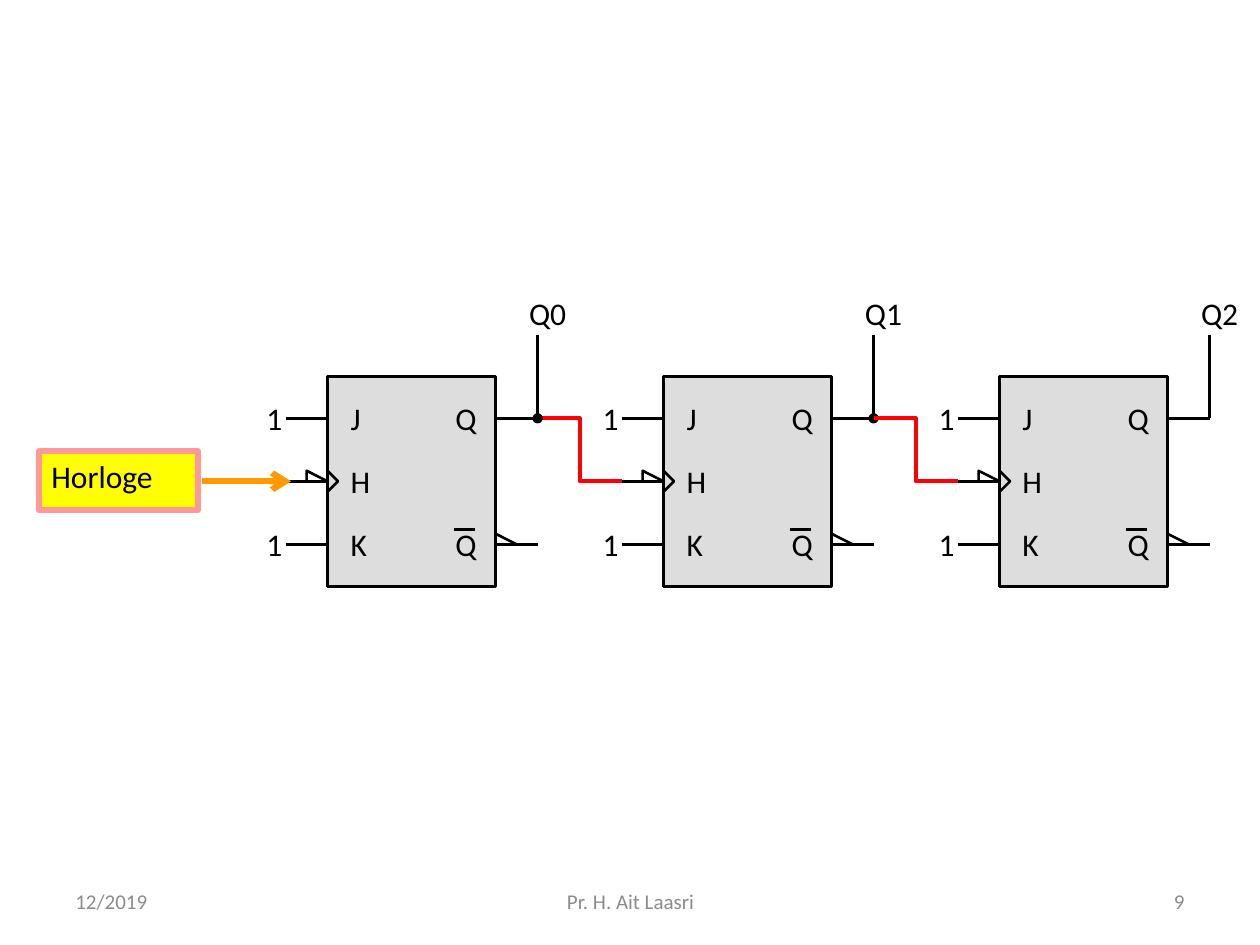
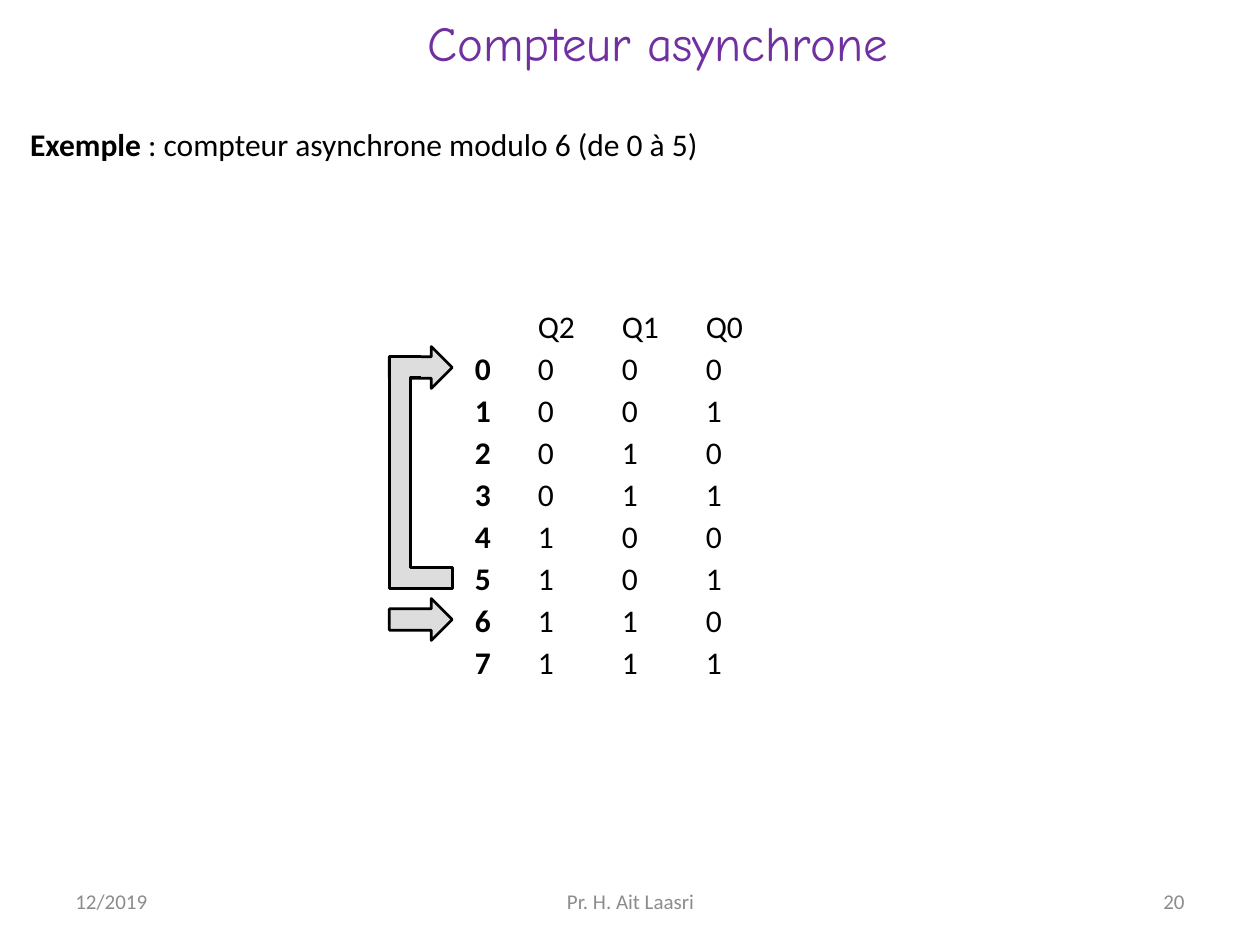
import dataclasses
import typing

import pptx
import pptx.dml.color
import pptx.enum.shapes
import pptx.enum.text
import pptx.oxml
import pptx.oxml.ns
import pptx.shapes.autoshape
import pptx.shapes.shapetree
import pptx.slide
import pptx.text.text
import pptx.util

Inches = pptx.util.Inches
RGB = pptx.dml.color.RGBColor
Align = pptx.enum.text.PP_ALIGN
Anchor = pptx.enum.text.MSO_ANCHOR
Preset = pptx.enum.shapes.MSO_SHAPE
Canvas = pptx.shapes.shapetree.SlideShapes | pptx.shapes.shapetree.GroupShapes
Point = tuple[float, float]

BLACK = RGB(0, 0, 0)
GREY = RGB(0xDD, 0xDD, 0xDD)
MUTED = RGB(0x8C, 0x8C, 0x8C)
RED = RGB(0xFF, 0, 0)
YELLOW = RGB(0xFF, 0xFF, 0)
PINK = RGB(0xFF, 0x99, 0x99)
ORANGE = RGB(0xFF, 0x99, 0)
PURPLE = RGB(0x70, 0x30, 0xA0)

BODY = "Calibri"
HEAD = "Comic Neue"

UNIT = 1 / 6
HALF = UNIT / 2
CELL = 2 * UNIT
PITCH = 16 * UNIT
WIDE = 8 * UNIT
LEFT = 2.6
TOP = 2.99
ROWS = (3.32, 3.82, 4.32)


@dataclasses.dataclass(frozen=True)
class Box:
    x: float
    y: float
    w: float = CELL
    h: float = CELL

    def place(self) -> tuple[pptx.util.Length, ...]:
        return tuple(Inches(v) for v in (self.x, self.y, self.w, self.h))


@dataclasses.dataclass(frozen=True)
class Mark:
    text: str
    dx: float
    row: int


@dataclasses.dataclass(frozen=True)
class Foot:
    box: Box
    align: Align


MARKS = (
    Mark("J", HALF, 0), Mark("Q", 5.5 * UNIT, 0), Mark("H", HALF, 1),
    Mark("K", HALF, 2), Mark("Q", 5.5 * UNIT, 2),
    Mark("1", -3.5 * UNIT, 0), Mark("1", -3.5 * UNIT, 2),
)
FEET = (
    Foot(Box(0.5, 6.95, 2.33, 0.4), Align.LEFT),
    Foot(Box(3.42, 6.95, 3.17, 0.4), Align.CENTER),
    Foot(Box(7.17, 6.95, 2.33, 0.4), Align.RIGHT),
)


def write(frame: pptx.text.text.TextFrame, text: str, *, size: float = 18,
          font: str = BODY, color: RGB = BLACK, bold: bool = False,
          align: Align = Align.LEFT, anchor: Anchor = Anchor.MIDDLE,
          wrap: bool = True) -> None:
    frame.word_wrap = wrap
    frame.vertical_anchor = anchor
    para = frame.paragraphs[0]
    para.alignment = align
    run = para.add_run()
    run.text = text
    run.font.size = pptx.util.Pt(size)
    run.font.name = font
    run.font.bold = bold
    run.font.color.rgb = color


def label(on: Canvas, box: Box, text: str, **look: typing.Any) -> None:
    write(on.add_textbox(*box.place()).text_frame, text, **look)


def paint(shape: pptx.shapes.autoshape.Shape, fill: RGB | None,
          color: RGB = BLACK, width: float = 1.5) -> None:
    shape.shadow.inherit = False
    if fill is None:
        shape.fill.background()
    else:
        shape.fill.solid()
        shape.fill.fore_color.rgb = fill
    shape.line.color.rgb = color
    shape.line.width = pptx.util.Pt(width)


def line(on: Canvas, start: Point, end: Point, color: RGB = BLACK,
         width: float = 1.5, head: str = "", tail: str = "") -> None:
    link = on.add_connector(pptx.enum.shapes.MSO_CONNECTOR.STRAIGHT,
                            *(Inches(v) for v in (*start, *end)))
    link.line.color.rgb = color
    link.line.width = pptx.util.Pt(width)
    props = link.element.spPr
    stroke = props.find(pptx.oxml.ns.qn("a:ln"))
    for tag, kind in (("headEnd", head), ("tailEnd", tail)):
        if kind:
            stroke.append(pptx.oxml.parse_xml(
                f'<a:{tag} {pptx.oxml.ns.nsdecls("a")} type="{kind}"/>'))
    props.append(pptx.oxml.parse_xml(
        f'<a:effectLst {pptx.oxml.ns.nsdecls("a")}/>'))


def trace(on: Canvas, points: list[Point], fill: RGB | None = None,
          color: RGB = BLACK, width: float = 1.5) -> None:
    first, *rest = [(Inches(x), Inches(y)) for x, y in points]
    pen = on.build_freeform(*first)
    pen.add_line_segments(rest, close=False)
    paint(pen.convert_to_shape(), fill, color, width)


def wire(on: Canvas, step: int) -> None:
    x = LEFT + step * PITCH + 10 * UNIT
    high, low, _ = ROWS
    trace(on, [(x, high), (x + CELL, high), (x + CELL, low),
               (x + 2 * CELL, low)], color=RED, width=2.25)


def output(on: Canvas, step: int, head: str) -> None:
    x = LEFT + step * PITCH + 10 * UNIT
    label(on, Box(x - UNIT, 2.32, 0.55), f"Q{step}", wrap=False)
    line(on, (x, ROWS[0]), (x, 2.66), head=head)


def flip(on: Canvas, step: int) -> None:
    x = LEFT + step * PITCH
    edge = x + WIDE
    high, mid, low = ROWS
    body = on.add_shape(Preset.RECTANGLE, *Box(x, TOP, WIDE, 10 * UNIT).place())
    paint(body, GREY)
    for y in ROWS:
        line(on, (x - CELL, y), (x, y))
    for y in (high, low):
        line(on, (edge, y), (edge + CELL, y))
    line(on, (x + 6 * UNIT, 4.2), (x + 7 * UNIT, 4.2))
    trace(on, [(x, mid - HALF), (x + HALF, mid), (x, mid + HALF)])
    trace(on, [(edge, low), (edge, low - HALF), (edge + UNIT, low)])
    trace(on, [(x, mid), (x - UNIT, mid - HALF), (x - UNIT, mid)])
    for mark in MARKS:
        label(on, Box(x + mark.dx, ROWS[mark.row] - UNIT), mark.text, wrap=False)


def footer(on: Canvas, page: str) -> None:
    for foot, text in zip(FEET, ("12/2019", "Pr. H. Ait Laasri", page)):
        label(on, foot.box, text, size=12, color=MUTED, align=foot.align)


def circuit(slide: pptx.slide.Slide) -> None:
    on = slide.shapes
    wire(on, 0)
    for step, head in enumerate(("oval", "oval", "")):
        output(on, step, head)
    for step in range(3):
        flip(on.add_group_shape().shapes, step)
    wire(on, 1)
    clock = on.add_shape(Preset.RECTANGLE, *Box(0.31, 3.58, 1.26, 0.47).place())
    paint(clock, YELLOW, PINK, 3.5)
    write(clock.text_frame, "Horloge", anchor=Anchor.TOP)
    line(on, (1.6, ROWS[1]), (2.31, ROWS[1]), ORANGE, 3.5, tail="arrow")
    footer(on, "9")


def states(on: Canvas) -> None:
    top = 2.75
    for col, bit in enumerate((2, 1, 0)):
        x = 4.17 + col * 4 * UNIT
        label(on, Box(x, top - CELL, 4 * UNIT), f"Q{bit}", wrap=False)
        for state in range(8):
            label(on, Box(x, top + state * CELL, 4 * UNIT),
                  str(state >> bit & 1), wrap=False)
    for state in range(8):
        label(on, Box(3.67, top + state * CELL, 3 * UNIT), str(state),
              bold=True, wrap=False)


def loop(on: Canvas) -> None:
    x, top, low = 3.09, 2.83, 4.67
    for y in (4.75, 2.75):
        arrow = on.add_shape(Preset.RIGHT_ARROW, *Box(x, y, 3 * UNIT).place())
        arrow.adjustments[0] = 0.51
        arrow.adjustments[1] = 0.5
        paint(arrow, GREY)
    trace(on, [(x + 0.25, top), (x, top), (x, low), (x + 0.5, low),
               (x + 0.5, low - UNIT), (x + UNIT, low - UNIT),
               (x + UNIT, top + UNIT), (x + 0.25, top + UNIT)], GREY)


def counter(slide: pptx.slide.Slide) -> None:
    on = slide.shapes
    title = on.title
    title.left, title.top, title.width, title.height = Box(
        0.72, -0.16, 9, 0.99).place()
    write(title.text_frame, "Compteur asynchrone", size=28, font=HEAD,
          color=PURPLE, align=Align.CENTER)
    intro = on.add_textbox(*Box(-0.86, 0.94, 9, 0.5).place()).text_frame
    write(intro, "Exemple", bold=True, anchor=Anchor.TOP)
    write(intro, " : compteur asynchrone modulo 6 (de 0 à 5)",
          anchor=Anchor.TOP)
    para = intro.paragraphs[0]
    para.space_before = pptx.util.Pt(3.6)
    props = para._p.get_or_add_pPr()
    props.set("marL", str(Inches(1.25)))
    props.set("indent", str(Inches(-0.25)))
    states(on)
    loop(on)
    footer(on, "20")


def main() -> None:
    deck = pptx.Presentation()
    deck.slide_width, deck.slide_height = Inches(10), Inches(7.5)
    plain = deck.slide_layouts.get_by_name("Blank")
    titled = deck.slide_layouts.get_by_name("Title Only")
    circuit(deck.slides.add_slide(plain))
    counter(deck.slides.add_slide(titled))
    deck.save("out.pptx")


main()
